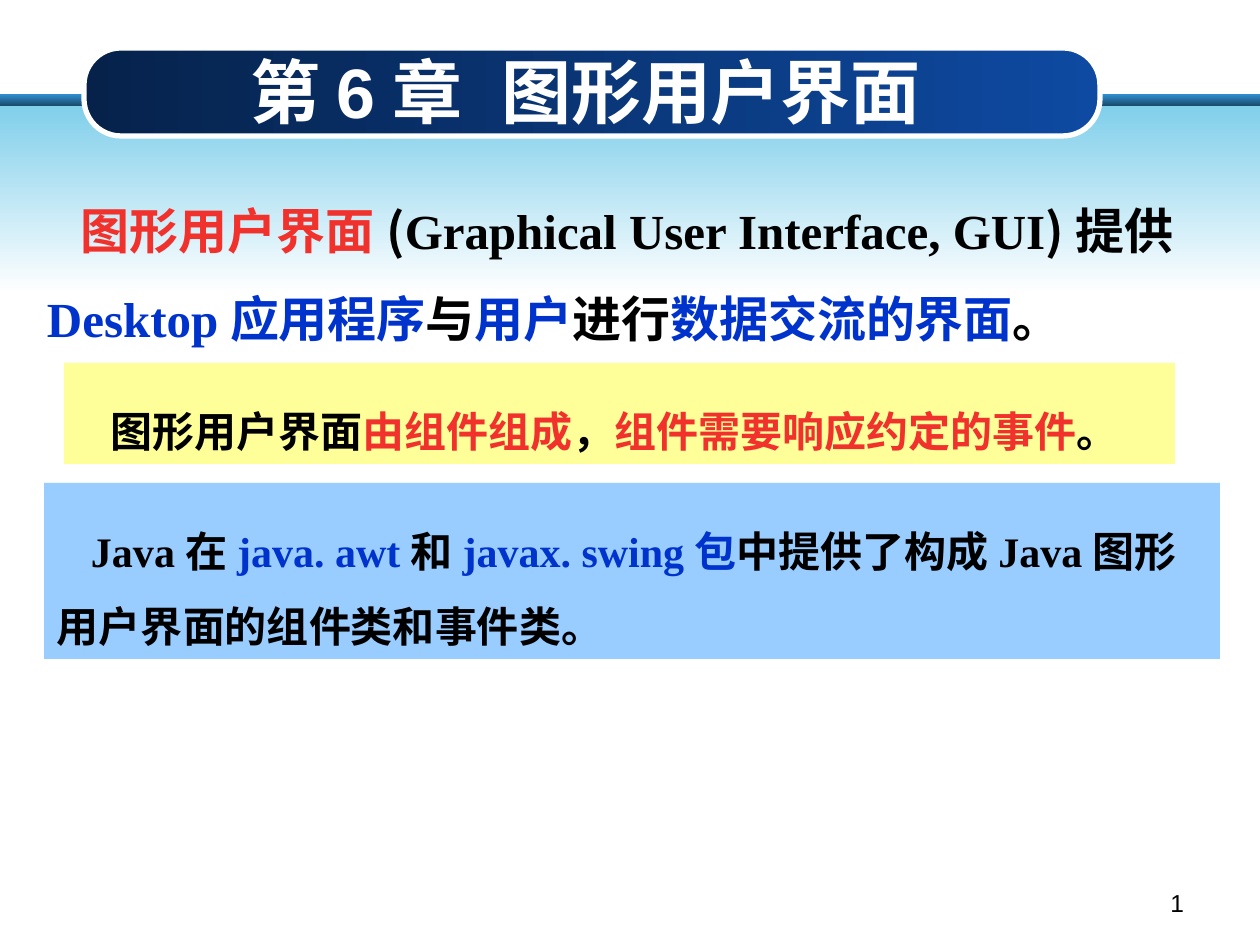
from lxml import etree
from pptx import Presentation
from pptx import util as u
from pptx.dml.color import RGBColor
from pptx.enum import shapes, text
from pptx.oxml.ns import qn

SCALE = 914400 / 126
COLORS = {
    "black": "000000", "white": "FFFFFF", "red": "F0312C", "blue": "0033CC",
    "bar_top": "3191D3", "bar_bottom": "174362", "sky": "81CFEB",
    "navy": "06224B", "royal": "0E4AA2", "yellow": "FFFF99", "pale_blue": "99CCFF",
}
CJK, LATIN, SANS = "Noto Sans CJK SC", "Times New Roman", "Arial"


def px(value):
    return u.Emu(round(value * SCALE))


def color(name):
    return RGBColor.from_string(COLORS[name])


def add_panel(page, box, fill, kind=shapes.MSO_SHAPE.RECTANGLE, angle=270):
    panel = page.shapes.add_shape(kind, *map(px, box))
    panel.shadow.inherit = False
    panel.line.fill.background()
    if isinstance(fill, tuple):
        panel.fill.gradient()
        panel.fill.gradient_angle = angle
        for stop, name in zip(panel.fill.gradient_stops, fill):
            stop.color.rgb = color(name)
    else:
        panel.fill.solid()
        panel.fill.fore_color.rgb = color(fill)
    return panel


def set_text(shape, spans, size, bold=True, align=text.PP_ALIGN.LEFT,
             anchor=text.MSO_ANCHOR.TOP, top=6):
    frame = shape.text_frame
    frame.word_wrap = True
    frame.vertical_anchor = anchor
    frame.margin_left = frame.margin_right = px(13)
    frame.margin_top, frame.margin_bottom = px(top), px(6)
    para = frame.paragraphs[0]
    para.alignment = align
    for words, face, name in spans:
        span = para.add_run()
        span.text = words
        span.font.size, span.font.bold = u.Pt(size), bold
        span.font.name = face
        span.font.color.rgb = color(name)
        east_asian = etree.SubElement(span.font._element, qn("a:ea"))
        east_asian.set("typeface", CJK if face == LATIN else face)
    return para


def add_label(page, box, spans, size, **options):
    label = page.shapes.add_textbox(*map(px, box))
    return set_text(label, spans, size, **options)


def set_body(shape, spans, size, top=6):
    para = set_text(shape, spans, size, top=top)
    para.line_spacing = 1.5
    para._p.get_or_add_pPr().set("indent", str(px(34)))


def add_header(page, box):
    left, top, width, height = box
    add_panel(page, (left, top + 94, width, 13), ("bar_top", "bar_bottom"))
    add_panel(page, (left, top + 106, width, height - 106), ("sky", "white"))
    banner = add_panel(page, (left + 84, top + 48, 1016, 88), ("navy", "royal"),
                       shapes.MSO_SHAPE.ROUNDED_RECTANGLE, 0)
    banner.adjustments[0] = 0.42
    banner.line.color.rgb = color("white")
    banner.line.width = u.Pt(3)
    title = [(words, SANS, "white") for words in ("第6章", " ", "图形用户界面")]
    para = add_label(page, (left + 164, top + 55, 843, 83), title, 40,
                     align=text.PP_ALIGN.CENTER, anchor=text.MSO_ANCHOR.BOTTOM)
    para.runs[1].font._element.set("spc", "1100")


def add_definition(page, box):
    label = page.shapes.add_textbox(*map(px, box))
    set_body(label, [
        ("图形用户界面", CJK, "red"), ("(", CJK, "black"),
        ("Graphical User Interface, GUI", LATIN, "black"), (")提供", CJK, "black"),
        ("Desktop", LATIN, "blue"), ("应用程序", CJK, "blue"), ("与", CJK, "black"),
        ("用户", CJK, "blue"), ("进行", CJK, "black"),
        ("数据交流的界面", CJK, "blue"), ("。", CJK, "black"),
    ], 28)


def add_packages(page, box):
    set_body(add_panel(page, box, "pale_blue"), [
        ("Java", LATIN, "black"), ("在", CJK, "black"), ("java. awt", LATIN, "blue"),
        ("和", CJK, "black"), ("javax. swing", LATIN, "blue"), ("包", CJK, "blue"),
        ("中提供了构成", CJK, "black"), ("Java", LATIN, "black"),
        ("图形用户界面的组件类和事件类。", CJK, "black"),
    ], 24, top=17)


def add_components(page, box):
    set_body(add_panel(page, box, "yellow"), [
        ("图形用户界面", CJK, "black"), ("由组件组成", CJK, "red"), ("，", CJK, "black"),
        ("组件需要响应约定的事件", CJK, "red"), ("。", CJK, "black"),
    ], 24, top=17)


def add_page_number(page, box):
    add_label(page, box, [("1", SANS, "black")], 14, bold=False,
              align=text.PP_ALIGN.RIGHT)


def main():
    deck = Presentation()
    deck.slide_width, deck.slide_height = px(1260), px(945)
    page = deck.slides.add_slide(deck.slide_layouts[6])
    add_header(page, (0, 0, 1260, 294))
    add_definition(page, (34, 165, 1176, 189))
    add_packages(page, (44, 483, 1176, 176))
    add_components(page, (64, 363, 1111, 101))
    add_page_number(page, (903, 882, 294, 44))
    deck.save("out.pptx")


if __name__ == "__main__":
    main()
